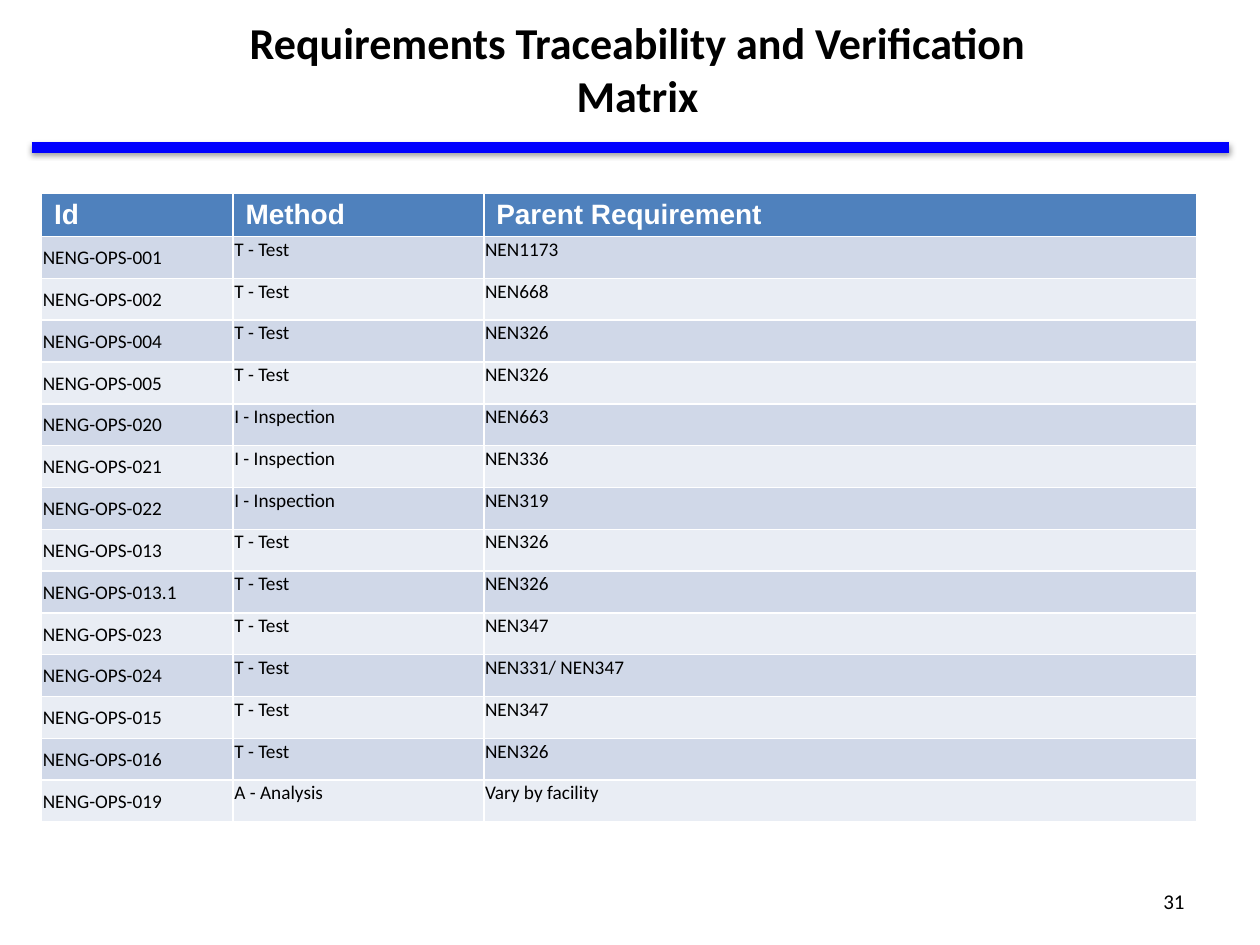
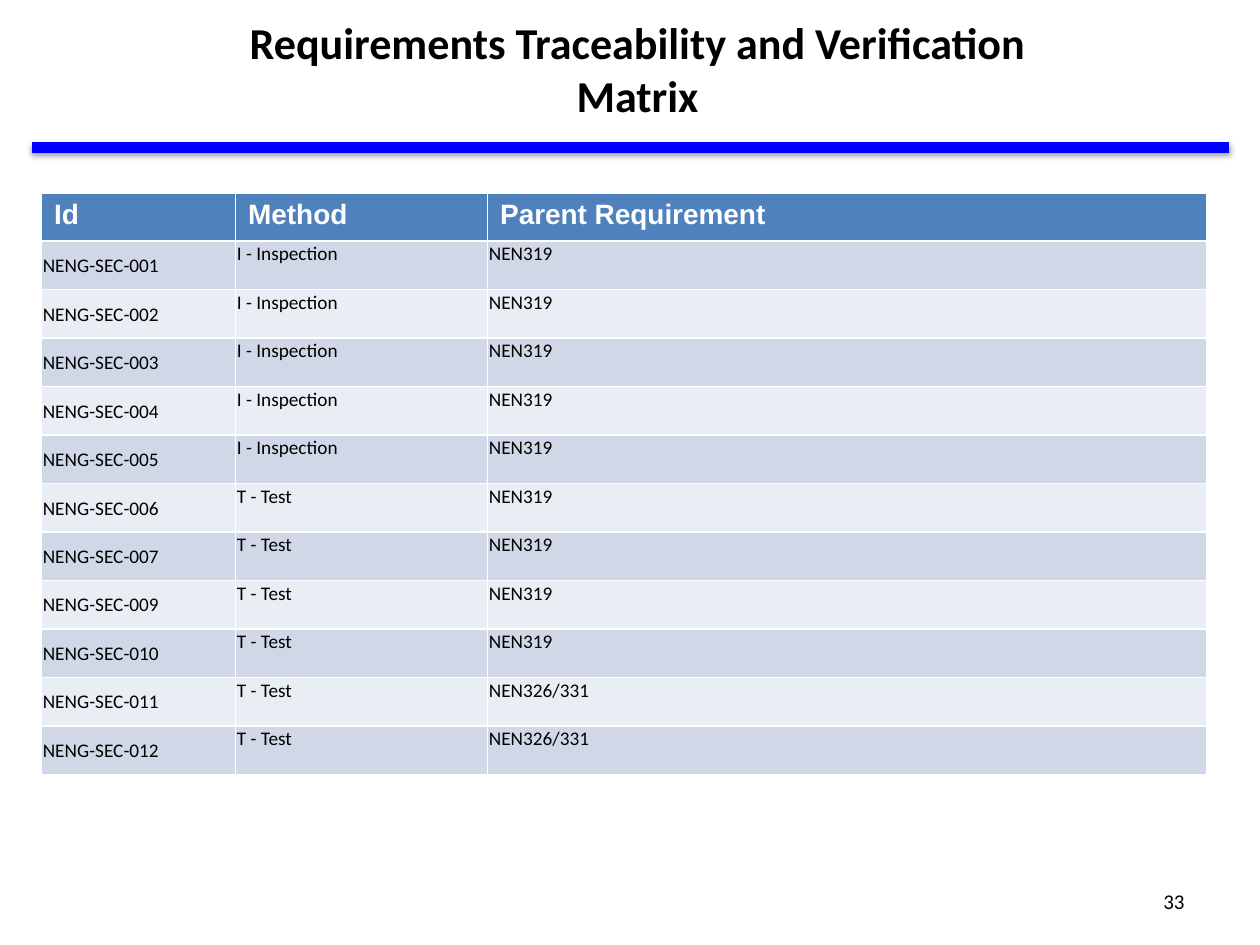
from lxml import etree
from pptx import Presentation
from pptx.dml.color import RGBColor
from pptx.enum.shapes import MSO_CONNECTOR
from pptx.enum.text import MSO_ANCHOR, MSO_AUTO_SIZE, PP_ALIGN
from pptx.oxml.ns import qn
from pptx.util import Inches, Pt

STRAIGHT = MSO_CONNECTOR.STRAIGHT
MIDDLE, TOP = MSO_ANCHOR.MIDDLE, MSO_ANCHOR.TOP
LEFT, CENTER, RIGHT = PP_ALIGN.LEFT, PP_ALIGN.CENTER, PP_ALIGN.RIGHT
NO_AUTOFIT = MSO_AUTO_SIZE.NONE

COLORS = {
    "text": "000000",
    "rule": "0000FF",
    "header": "4F81BD",
    "header_text": "FFFFFF",
    "band_dark": "D0D8E8",
    "band_light": "E9EDF4",
    "shadow": "000000",
}
TITLE = "Requirements Traceability and Verification Matrix"
HEADERS = ("Id", "Method", "Parent Requirement")
TEST, INSPECTION, ANALYSIS = "T - Test", "I - Inspection", "A - Analysis"
TITLE_ONLY = 5

OPS_ROWS = [
    ("NENG-OPS-001", TEST, "NEN1173"),
    ("NENG-OPS-002", TEST, "NEN668"),
    ("NENG-OPS-004", TEST, "NEN326"),
    ("NENG-OPS-005", TEST, "NEN326"),
    ("NENG-OPS-020", INSPECTION, "NEN663"),
    ("NENG-OPS-021", INSPECTION, "NEN336"),
    ("NENG-OPS-022", INSPECTION, "NEN319"),
    ("NENG-OPS-013", TEST, "NEN326"),
    ("NENG-OPS-013.1", TEST, "NEN326"),
    ("NENG-OPS-023", TEST, "NEN347"),
    ("NENG-OPS-024", TEST, "NEN331/ NEN347"),
    ("NENG-OPS-015", TEST, "NEN347"),
    ("NENG-OPS-016", TEST, "NEN326"),
    ("NENG-OPS-019", ANALYSIS, "Vary by facility"),
]
SEC_ROWS = [
    ("NENG-SEC-001", INSPECTION, "NEN319"),
    ("NENG-SEC-002", INSPECTION, "NEN319"),
    ("NENG-SEC-003", INSPECTION, "NEN319"),
    ("NENG-SEC-004", INSPECTION, "NEN319"),
    ("NENG-SEC-005", INSPECTION, "NEN319"),
    ("NENG-SEC-006", TEST, "NEN319"),
    ("NENG-SEC-007", TEST, "NEN319"),
    ("NENG-SEC-009", TEST, "NEN319"),
    ("NENG-SEC-010", TEST, "NEN319"),
    ("NENG-SEC-011", TEST, "NEN326/331"),
    ("NENG-SEC-012", TEST, "NEN326/331"),
]


def rgb(name):
    return RGBColor.from_string(COLORS[name])


def write(tf, text, size, font="Calibri", color="text", bold=False, align=LEFT):
    tf.text = text
    p = tf.paragraphs[0]
    p.alignment = align
    r = p.runs[0]
    r.font.name, r.font.size, r.font.bold = font, Pt(size), bold
    r.font.color.rgb = rgb(color)


def place(sp, left, top, width, height):
    sp.left, sp.top = Inches(left), Inches(top)
    sp.width, sp.height = Inches(width), Inches(height)


def add_title(slide):
    sp = slide.shapes.title
    place(sp, 1.83, 0.25, 6.46, 0.59)
    tf = sp.text_frame
    tf.auto_size = NO_AUTOFIT
    tf.word_wrap = True
    tf.vertical_anchor = MIDDLE
    write(tf, TITLE, 25.2, bold=True, align=CENTER)


def add_rule(slide):
    line = slide.shapes.add_connector(
        STRAIGHT, Inches(0.25), Inches(1.17), Inches(9.75), Inches(1.17))
    line.line.color.rgb = rgb("rule")
    line.line.width = Pt(6)
    # Soft shadow straight below the rule
    effects = etree.SubElement(line._element.spPr, qn("a:effectLst"))
    shadow = etree.SubElement(
        effects, qn("a:outerShdw"), blurRad=str(Pt(3.1)), dist=str(Pt(1.6)),
        dir="5400000", rotWithShape="0")
    color = etree.SubElement(shadow, qn("a:srgbClr"), val=COLORS["shadow"])
    etree.SubElement(color, qn("a:alpha"), val="38000")


def add_page_number(slide, number):
    sp = slide.shapes.add_textbox(
        Inches(7.17), Inches(6.95), Inches(2.33), Inches(0.4))
    tf = sp.text_frame
    tf.word_wrap = True
    tf.vertical_anchor = MIDDLE
    write(tf, str(number), 12, align=RIGHT)


def fill_cell(cell, color):
    cell.fill.solid()
    cell.fill.fore_color.rgb = rgb(color)


def add_matrix(slide, rows, widths, height):
    # The default table style supplies the white grid lines
    table = slide.shapes.add_table(
        len(rows) + 1, len(HEADERS), Inches(0.33), Inches(1.53),
        Inches(sum(widths)), Inches(height)).table
    for column, width in zip(table.columns, widths):
        column.width = Inches(width)

    for c, header in enumerate(HEADERS):
        cell = table.cell(0, c)
        fill_cell(cell, "header")
        write(cell.text_frame, header, 16, "Arial", "header_text", bold=True)

    for r, row in enumerate(rows, start=1):
        for c, text in enumerate(row):
            cell = table.cell(r, c)
            fill_cell(cell, "band_dark" if r % 2 else "band_light")
            cell.margin_left = cell.margin_right = cell.margin_top = Inches(0.01)
            cell.margin_bottom = 0
            cell.vertical_anchor = MIDDLE if c == 0 else TOP
            write(cell.text_frame, text, 11)


def add_matrix_slide(prs, number, rows, widths, height):
    slide = prs.slides.add_slide(prs.slide_layouts[TITLE_ONLY])
    add_rule(slide)
    add_matrix(slide, rows, widths, height)
    add_title(slide)
    add_page_number(slide, number)


def main():
    prs = Presentation()
    prs.slide_width, prs.slide_height = Inches(10), Inches(7.5)
    add_matrix_slide(prs, 31, OPS_ROWS, (1.52, 1.99, 5.66), 4.98)
    add_matrix_slide(prs, 33, SEC_ROWS, (1.54, 2, 5.71), 4.62)
    prs.save("out.pptx")


if __name__ == "__main__":
    main()
